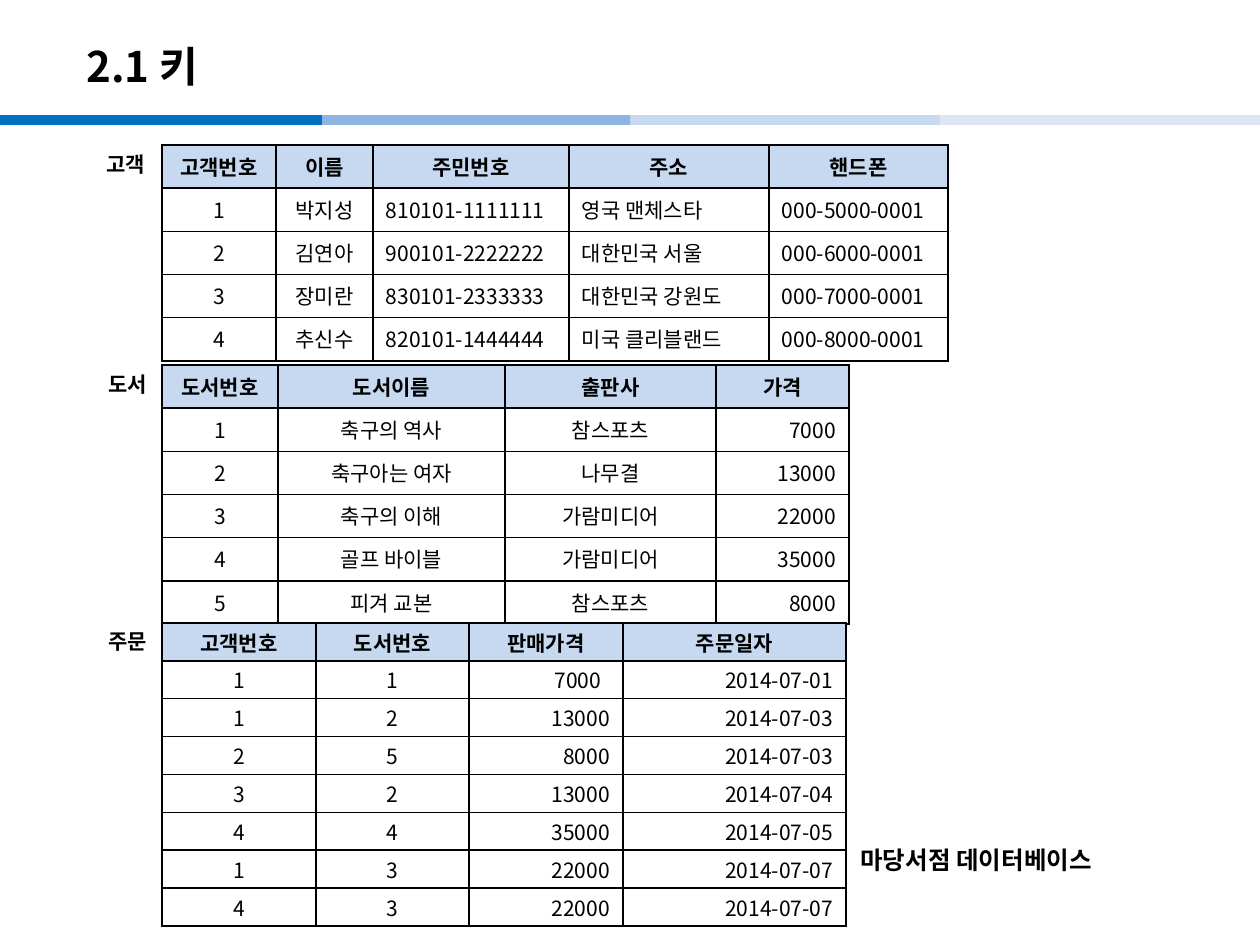
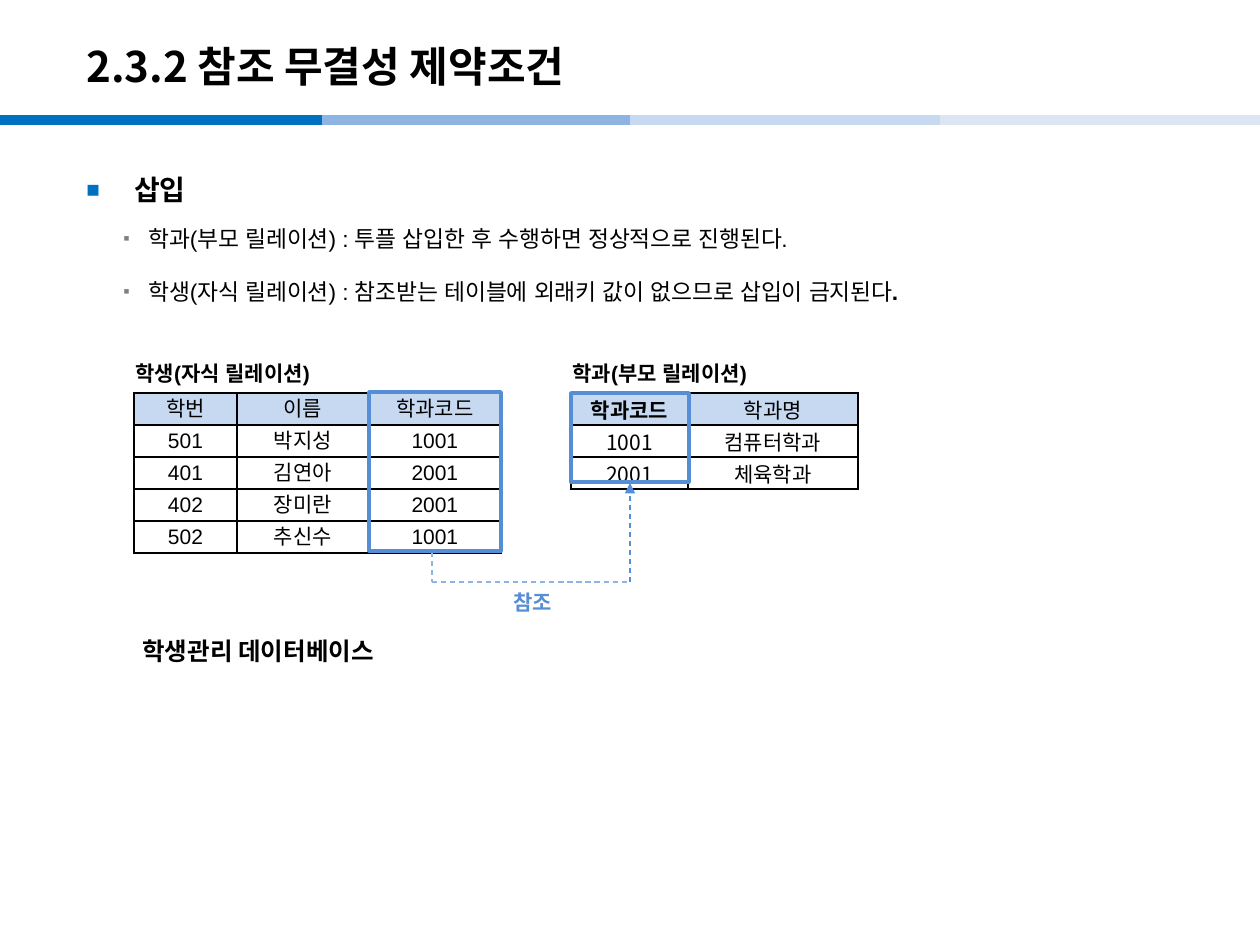
from lxml.etree import SubElement
from pptx import Presentation
from pptx.dml.color import RGBColor
from pptx.enum.dml import MSO_LINE
from pptx.enum.shapes import MSO_CONNECTOR, MSO_SHAPE
from pptx.enum.text import MSO_ANCHOR, PP_ALIGN
from pptx.oxml.ns import qn
from pptx.util import Emu, Pt

SCALE = 914400 / 126
SANS, ARIAL = "Noto Sans CJK KR", "Arial"
BLACK, WHITE, GREY = "000000", "FFFFFF", "808080"
BLUE, MID, PALE, FAINT, ACCENT = "0070C0", "8EB4E3", "C6D9F1", "DCE6F2", "558ED5"
ALIGN = {"l": PP_ALIGN.LEFT, "c": PP_ALIGN.CENTER, "r": PP_ALIGN.RIGHT}


def px(n):
    """Turn pixels into EMU."""
    return Emu(round(n * SCALE))


def rgb(color):
    """Turn a hex string into a colour."""
    return RGBColor.from_string(color)


def format_run(r, size, font=SANS, bold=False, color=BLACK):
    """Set the font of one run, for Latin and Korean alike."""
    r.font.size, r.font.bold, r.font.name = Pt(size), bold, font
    r.font.color.rgb = rgb(color)
    SubElement(r.font._element, qn("a:ea")).set("typeface", font)


def add_text(s, box, text, size, font=SANS, color=BLACK, anchor=MSO_ANCHOR.TOP, wrap=False):
    """Place one line of bold text in a box."""
    tf = s.shapes.add_textbox(*map(px, box)).text_frame
    tf.word_wrap, tf.vertical_anchor = wrap, anchor
    tf.text = text
    format_run(tf.paragraphs[0].runs[0], size, font, True, color)


def add_line(s, start, end, color, width, dashed=False, arrow=False):
    """Draw a straight line, with an arrowhead at its end if asked."""
    sp = s.shapes.add_connector(MSO_CONNECTOR.STRAIGHT, *map(px, start + end))
    sp.line.color.rgb, sp.line.width = rgb(color), Pt(width)
    if dashed:
        sp.line.dash_style = MSO_LINE.DASH
    if arrow:
        SubElement(sp.line._get_or_add_ln(), qn("a:tailEnd")).set("type", "triangle")
    SubElement(sp._element.spPr, qn("a:effectLst"))


def add_frame(s, box):
    """Outline the key column of a table."""
    sp = s.shapes.add_shape(MSO_SHAPE.RECTANGLE, *map(px, box))
    sp.shadow.inherit = False
    sp.fill.background()
    sp.line.color.rgb, sp.line.width = rgb(ACCENT), Pt(2)


def add_borders(cell):
    """Give a cell black borders, which come before its fill."""
    tcPr = cell._tc.get_or_add_tcPr()
    for i, side in enumerate(("lnL", "lnR", "lnT", "lnB")):
        ln = SubElement(tcPr, qn("a:" + side))
        ln.set("w", str(Pt(1)))
        fill = SubElement(ln, qn("a:solidFill"))
        SubElement(fill, qn("a:srgbClr")).set("val", BLACK)
        tcPr.insert(i, ln)


def add_grid(s, left, top, height, cols, aligns, rows, font=SANS, bold_heads=None,
             anchor=MSO_ANCHOR.TOP, margins=(13, 6), body=None):
    """Place a table with a tinted header and equal rows."""
    shape = s.shapes.add_table(len(rows), len(cols), px(left), px(top), px(sum(cols)), px(height))
    table = shape.table
    table.first_row = table.horz_banding = False
    bold_heads = len(cols) if bold_heads is None else bold_heads
    for col, width in zip(table.columns, cols):
        col.width = px(width)
    for i, row in enumerate(rows):
        table.rows[i].height = px(height / len(rows))
        for j, text in enumerate(row):
            cell = table.cell(i, j)
            cell.text, cell.vertical_anchor = text, anchor
            cell.margin_left = cell.margin_right = px(margins[0])
            cell.margin_top = cell.margin_bottom = px(margins[1])
            p = cell.text_frame.paragraphs[0]
            p.alignment = ALIGN[aligns[j] if i else "c"]
            format_run(p.runs[0], 12, font, i == 0 and j < bold_heads)
            fill = body if i else PALE
            if fill:
                cell.fill.solid()
                cell.fill.fore_color.rgb = rgb(fill)
            else:
                cell.fill.background()
            add_borders(cell)
    return table


def add_bullet(tf, p, runs, size, margin, indent, mark, color):
    """Fill a paragraph with (text, bold) runs behind a bullet."""
    p.line_spacing = 1.5
    for text, bold in runs:
        r = p.add_run()
        r.text = text
        format_run(r, size, ARIAL, bold)
    pPr = p._p.get_or_add_pPr()
    pPr.set("marL", str(px(margin)))
    pPr.set("indent", str(px(-indent)))
    SubElement(SubElement(pPr, qn("a:buClr")), qn("a:srgbClr")).set("val", color)
    SubElement(pPr, qn("a:buSzPct")).set("val", "80000")
    SubElement(pPr, qn("a:buFont")).set("typeface", ARIAL)
    SubElement(pPr, qn("a:buChar")).set("char", mark)


def add_body(s, box, heading, points):
    """Place a heading with its points below."""
    tf = s.shapes.add_textbox(*map(px, box)).text_frame
    tf.word_wrap = True
    add_bullet(tf, tf.paragraphs[0], [(heading, True)], 16, 48, 48, "■", BLUE)
    for runs in points:
        p = tf.add_paragraph()
        p.level, p.space_before, p.space_after = 1, Pt(2.6), Pt(4)
        add_bullet(tf, p, runs, 13, 62, 25, "▪", GREY)


def new_slide(prs, title):
    """Start a slide with the four-tone band and a title."""
    s = prs.slides.add_slide(prs.slide_layouts[6])
    bands = ((0, 322, BLUE), (322, 645, MID), (630, 952, PALE), (940, 1260, FAINT))
    for left, right, color in bands:
        add_line(s, (left, 120), (right, 120), color, 6)
    add_text(s, (74, 28, 1042, 76), title, 24, anchor=MSO_ANCHOR.MIDDLE, wrap=True)
    return s


def add_bookshop(prs):
    """Build the slide with the three bookshop tables."""
    s = new_slide(prs, "2.1 키")
    left = 162
    add_grid(s, left, 365, 259, (116, 227, 211, 133), "cccr", (
        ("도서번호", "도서이름", "출판사", "가격"),
        ("1", "축구의 역사", "참스포츠", "7000"),
        ("2", "축구아는 여자", "나무결", "13000"),
        ("3", "축구의 이해", "가람미디어", "22000"),
        ("4", "골프 바이블", "가람미디어", "35000"),
        ("5", "피겨 교본", "참스포츠", "8000")))
    add_grid(s, left, 145, 216, (114, 97, 196, 200, 179), "cclll", (
        ("고객번호", "이름", "주민번호", "주소", "핸드폰"),
        ("1", "박지성", "810101-1111111", "영국 맨체스타", "000-5000-0001"),
        ("2", "김연아", "900101-2222222", "대한민국 서울", "000-6000-0001"),
        ("3", "장미란", "830101-2333333", "대한민국 강원도", "000-7000-0001"),
        ("4", "추신수", "820101-1444444", "미국 클리블랜드", "000-8000-0001")))
    orders = add_grid(s, left, 623, 303, (154, 153, 154, 223), "ccrr", (
        ("고객번호", "도서번호", "판매가격", "주문일자"),
        ("1", "1", "7000", "2014-07-01"),
        ("1", "2", "13000", "2014-07-03"),
        ("2", "5", "8000", "2014-07-03"),
        ("3", "2", "13000", "2014-07-04"),
        ("4", "4", "35000", "2014-07-05"),
        ("1", "3", "22000", "2014-07-07"),
        ("4", "3", "22000", "2014-07-07")), anchor=MSO_ANCHOR.MIDDLE, margins=(13, 3))
    orders.cell(1, 2).margin_right = px(22)
    for name, x, y in (("고객", 94, 145), ("도서", 96, 365), ("주문", 96, 622)):
        add_text(s, (x, y, 68, 38), name, 12, ARIAL)
    add_text(s, (848, 840, 258, 39), "마당서점 데이터베이스", 14, anchor=MSO_ANCHOR.MIDDLE)


def add_reference(s, start, end, drop):
    """Lead a dashed arrow from one key column down and up to the other."""
    turn, corner = (start[0], drop), (end[0], drop)
    add_line(s, start, turn, MID, 0.75, True)
    add_line(s, turn, corner, MID, 0.75, True)
    add_line(s, corner, end, ACCENT, 0.75, True, True)
    add_text(s, (501, drop + 1, 174, 38), "참조", 12, color=ACCENT, wrap=True)


def add_integrity(prs):
    """Build the slide on referential integrity."""
    s = new_slide(prs, "2.3.2 참조 무결성 제약조건")
    add_body(s, (74, 150, 1111, 753), "삽입", (
        [("학과(부모 릴레이션) : 투플 삽입한 후 수행하면 정상적으로 진행된다.", False)],
        [("학생(자식 릴레이션) : 참조받는 테이블에 외래키 값이 없으므로 삽입이 금지된다", False),
         (".", True)]))
    add_grid(s, 134, 393, 160, (103, 132, 132), "ccc", (
        ("학번", "이름", "학과코드"),
        ("501", "박지성", "1001"),
        ("401", "김연아", "2001"),
        ("402", "장미란", "2001"),
        ("502", "추신수", "1001")), ARIAL, 0, MSO_ANCHOR.MIDDLE, (1, 0), WHITE)
    add_grid(s, 571, 393, 96, (117, 170), "cc", (
        ("학과코드", "학과명"),
        ("1001", "컴퓨터학과"),
        ("2001", "체육학과")), SANS, 1, MSO_ANCHOR.MIDDLE, (1, 0))
    for name, x in (("학생(자식 릴레이션)", 123), ("학과(부모 릴레이션)", 560)):
        add_text(s, (x, 354, 218, 38), name, 12, ARIAL)
    add_reference(s, (432, 552), (630, 483), 582)
    add_text(s, (130, 631, 258, 39), "학생관리 데이터베이스", 14, anchor=MSO_ANCHOR.MIDDLE)
    add_frame(s, (369, 392, 132, 159))
    add_frame(s, (571, 393, 118, 89))


prs = Presentation()
prs.slide_width, prs.slide_height = px(1260), px(945)
add_bookshop(prs)
add_integrity(prs)
prs.save("out.pptx")
